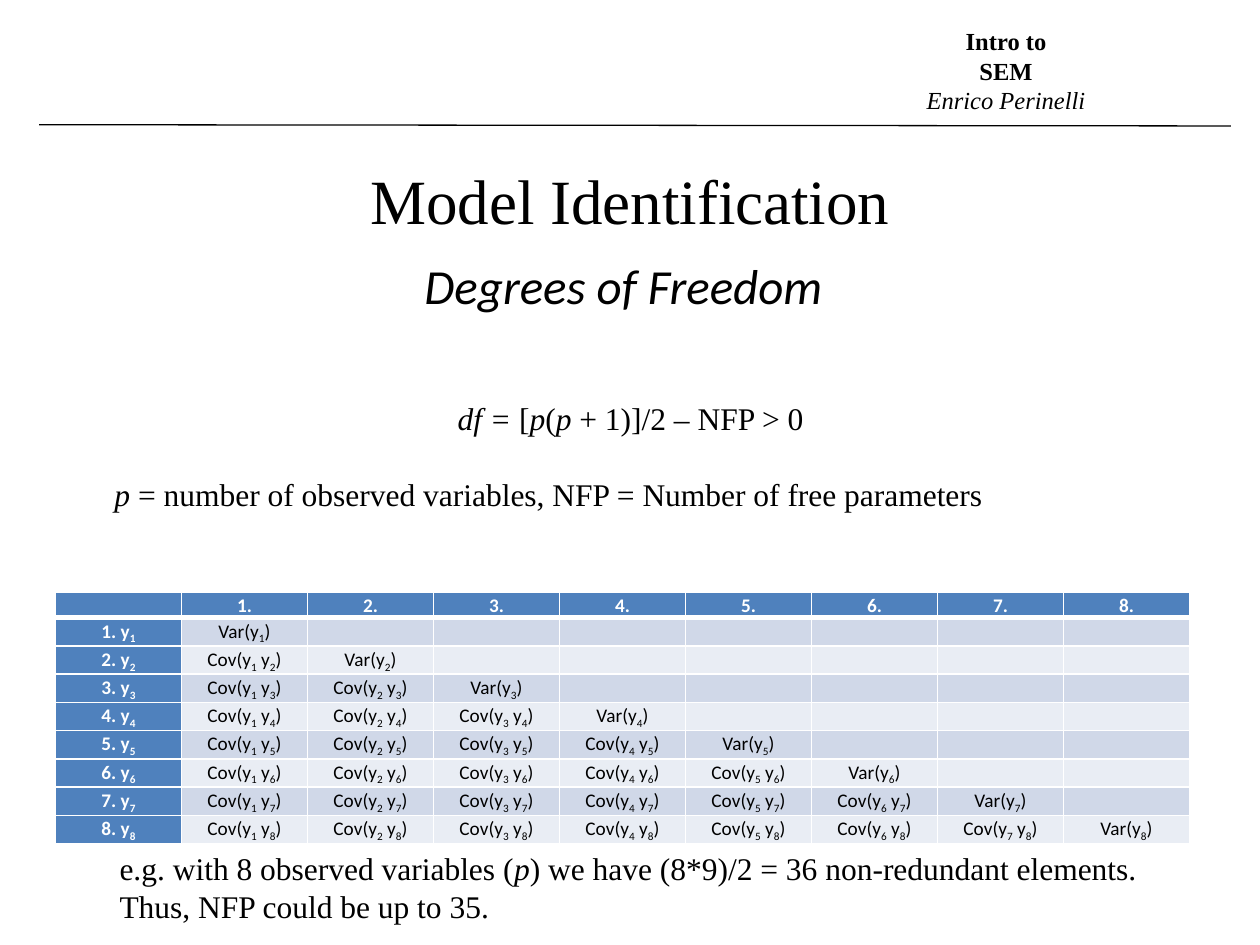
from dataclasses import dataclass

from lxml import etree
from pptx import Presentation
from pptx.dml.color import RGBColor
from pptx.enum.shapes import MSO_CONNECTOR
from pptx.enum.text import MSO_ANCHOR, PP_ALIGN
from pptx.oxml.ns import qn
from pptx.util import Inches, Pt

LEFT, CENTER = PP_ALIGN.LEFT, PP_ALIGN.CENTER
TOP = MSO_ANCHOR.TOP
STRAIGHT = MSO_CONNECTOR.STRAIGHT
WIDTH, HEIGHT = Inches(10), Inches(7.5)
SERIF, SANS = "Times New Roman", "Calibri"
BLACK, WHITE, BLUE = "000000", "FFFFFF", "4F81BD"
BANDS = ("D0D8E8", "E9EDF4")
VARIABLES = 8
LINE_GAP = 21.7


@dataclass
class Box:
    """Place and size in percent of the slide."""
    left: float
    top: float
    width: float
    height: float

    def emu(self) -> tuple:
        return (across(self.left), down(self.top),
                across(self.width), down(self.height))


@dataclass
class Para:
    """Text in which underscores enclose the accented parts."""
    text: str
    align: PP_ALIGN = LEFT
    before: float = 0


@dataclass
class Block:
    box: Box
    paras: list
    font: dict
    wrap: bool = True


def across(percent: float) -> int:
    return round(WIDTH * percent / 100)


def down(percent: float) -> int:
    return round(HEIGHT * percent / 100)


def rgb(color: str) -> RGBColor:
    return RGBColor.from_string(color)


def style(size: float, name: str = SERIF, **extra) -> dict:
    return {"size": Pt(size), "name": name, "bold": False, "italic": False, **extra}


def add_runs(p, text: str, font: dict, color: str = BLACK, subscript: bool = False) -> None:
    """Write marked text; accented parts become italic or subscript."""
    for i, part in enumerate(text.split("_")):
        if not part:
            continue
        r = p.add_run()
        r.text = part
        for key, value in font.items():
            setattr(r.font, key, value)
        r.font.color.rgb = rgb(color)
        if i % 2 and subscript:
            r._r.get_or_add_rPr().set("baseline", "-25000")
        elif i % 2:
            r.font.italic = True


def add_block(s, block: Block) -> None:
    tf = s.shapes.add_textbox(*block.box.emu()).text_frame
    tf.word_wrap = block.wrap
    for i, para in enumerate(block.paras):
        p = tf.add_paragraph() if i else tf.paragraphs[0]
        p.alignment = para.align
        if para.before:
            p.space_before = Pt(para.before)
        add_runs(p, para.text, block.font)


def set_title(s, text: str, box: Box) -> None:
    sp = s.shapes.title
    sp.left, sp.top, sp.width, sp.height = box.emu()
    sp.text_frame.vertical_anchor = TOP
    p = sp.text_frame.paragraphs[0]
    p.alignment = CENTER
    add_runs(p, text, style(36))


def add_rule(s, x1: float, y1: float, x2: float, y2: float) -> None:
    sp = s.shapes.add_connector(STRAIGHT, across(x1), down(y1), across(x2), down(y2))
    sp.line.color.rgb = rgb(BLACK)
    sp.line.width = Pt(0.75)
    etree.SubElement(sp._element.spPr, qn("a:effectLst"))


def add_borders(cell, widths: dict) -> None:
    tcPr = cell._tc.get_or_add_tcPr()
    for side in "LRTB":
        ln = etree.SubElement(tcPr, qn(f"a:ln{side}"), w=str(Pt(widths.get(side, 1))))
        fill = etree.SubElement(ln, qn("a:solidFill"))
        etree.SubElement(fill, qn("a:srgbClr"), val=WHITE)


def cell_text(row: int, col: int) -> str:
    """Lower triangle of the covariance matrix, with its headings."""
    if row == 0:
        return f"{col}." if col else ""
    if col == 0:
        return f"{row}. y_{row}_"
    if col == row:
        return f"Var(y_{row}_)"
    return f"Cov(y_{col}_ y_{row}_)" if col < row else ""


def format_cell(cell, row: int, col: int) -> None:
    heading = row == 0 or col == 0
    margins = {"margin_left": 0.07, "margin_right": 0.07, "margin_top": 0, "margin_bottom": 0}
    for key, value in margins.items():
        setattr(cell, key, Inches(value))
    add_borders(cell, {0: {"B": 3}, 1: {"T": 3}}.get(row, {}))
    cell.fill.solid()
    cell.fill.fore_color.rgb = rgb(BLUE if heading else BANDS[(row - 1) % 2])
    p = cell.text_frame.paragraphs[0]
    p.alignment, p.line_spacing = CENTER, 1.07
    font = style(11, SANS, bold=heading)
    text = cell_text(row, col)
    add_runs(p, text, font, WHITE if heading else BLACK, subscript=True)
    if not text:
        etree.SubElement(p._p, qn("a:endParaRPr"), sz="1100")


def add_matrix(s, box: Box) -> None:
    count = VARIABLES + 1
    table = s.shapes.add_table(count, count, *box.emu()).table
    table.first_row = table.horz_banding = False
    for row in range(count):
        for col in range(count):
            format_cell(table.cell(row, col), row, col)


BLOCKS = [
    Block(Box(32.7, 26.4, 33.9, 7.6), [Para("Degrees of Freedom")],
          style(28, SANS, italic=True), wrap=False),
    Block(Box(8.1, 41.6, 83.9, 13.47),
          [Para("_df = _[_p_(_p _+ 1)]/2 – NFP > 0", CENTER),
           Para("_p_ = number of observed variables, NFP = Number of free parameters",
                before=LINE_GAP)],
          style(18)),
    Block(Box(8.5, 89.2, 83.9, 9.47),
          [Para("e.g. with 8 observed variables (_p_) we have (8*9)/2 = 36 "
                "non-redundant elements. Thus, NFP could be up to 35.")],
          style(18)),
    Block(Box(72.5, 2.13, 14.7, 10.8),
          [Para("Intro to", CENTER), Para("SEM", CENTER)],
          style(14, bold=True), wrap=False),
]
AUTHOR = Para("_Enrico Perinelli_", CENTER)


def main() -> None:
    prs = Presentation()
    prs.slide_width, prs.slide_height = WIDTH, HEIGHT
    s = prs.slides.add_slide(prs.slide_layouts[5])
    add_rule(s, 3.1, 13.2, 97.7, 13.33)
    set_title(s, "Model Identification", Box(4.7, 16.4, 90.6, 9.47))
    add_matrix(s, Box(4.4, 62.67, 90, 22.53))
    for block in BLOCKS:
        add_block(s, block)
    p = s.shapes[-1].text_frame.add_paragraph()
    p.alignment = AUTHOR.align
    add_runs(p, AUTHOR.text, style(14))
    prs.save("out.pptx")


if __name__ == "__main__":
    main()
